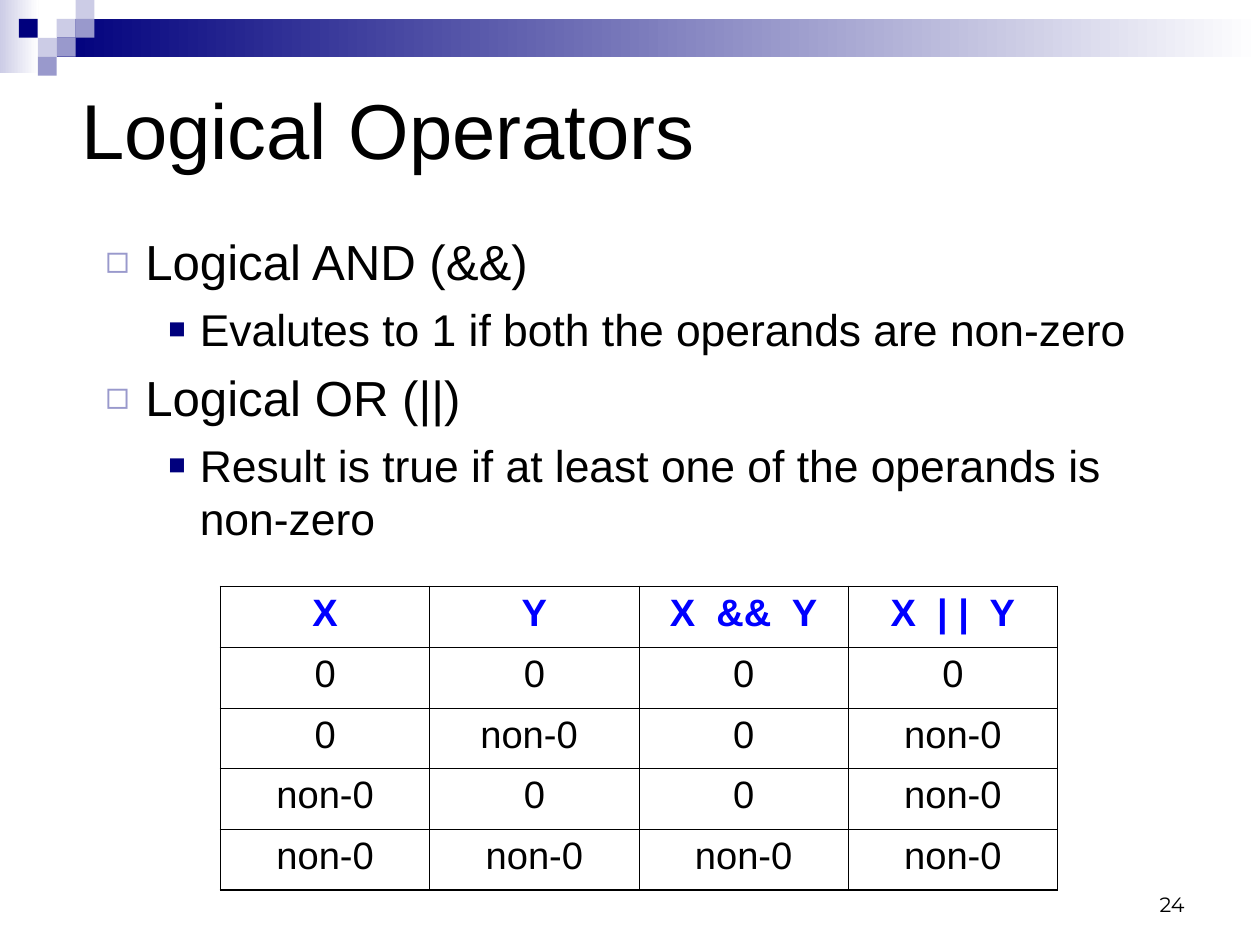
import dataclasses

import lxml.etree
import pptx
import pptx.dml.color
import pptx.enum.shapes
import pptx.enum.text
import pptx.oxml.ns
import pptx.util

Cm = pptx.util.Cm
Pt = pptx.util.Pt
RGBColor = pptx.dml.color.RGBColor
Align = pptx.enum.text.PP_ALIGN
Anchor = pptx.enum.text.MSO_ANCHOR

BLACK = RGBColor(0x00, 0x00, 0x00)
WHITE = RGBColor(0xFF, 0xFF, 0xFF)
BLUE = RGBColor(0x00, 0x00, 0xFF)
NAVY = RGBColor(0x00, 0x00, 0x7D)
LILAC = RGBColor(0x99, 0x99, 0xCC)
PALE = RGBColor(0xCC, 0xCC, 0xE6)

WIDTH, HEIGHT = 28, 21
UNIT = 0.42  # side of one square in the corner pattern


@dataclasses.dataclass
class Block:
    left: float
    top: float
    width: float
    height: float
    color: RGBColor
    fade: bool = False


@dataclasses.dataclass
class Level:
    depth: int
    size: float
    indent: float
    hang: float
    before: float
    mark: str
    color: RGBColor
    scale: int


@dataclasses.dataclass
class Item:
    level: Level
    text: str


def square(col: int, row: int, color: RGBColor) -> Block:
    return Block(col * UNIT, row * UNIT, UNIT, UNIT, color)


BLOCKS = [
    Block(0, 0, 0.86, 1.63, PALE, True),
    Block(3 * UNIT, UNIT, WIDTH - 3 * UNIT, 2 * UNIT, NAVY, True),
    square(3, 1, PALE),
    square(4, 0, PALE),
    square(4, 1, LILAC),
    square(2, 2, PALE),
    square(1, 1, NAVY),
    square(3, 2, LILAC),
    square(2, 3, LILAC),
]

TOPIC = Level(1, 31, 2.29, 0.89, 7.7, "◻", LILAC, 80)
DETAIL = Level(2, 28, 3.5, 0.7, 7, "■", NAVY, 65)
ITEMS = [
    Item(TOPIC, "Logical AND (&&)"),
    Item(DETAIL, "Evalutes to 1 if both the operands are non-zero"),
    Item(TOPIC, "Logical OR (||)"),
    Item(DETAIL, "Result is true if at least one of the operands is non-zero"),
]

TRUTH = [
    ["X", "Y", "X  &&  Y", "X  | |  Y"],
    ["0", "0", "0", "0"],
    ["0", "non-0 ", "0", "non-0"],
    ["non-0", "0", "0", "non-0"],
    ["non-0", "non-0", "non-0", "non-0"],
]


def add_node(parent, tag: str, **attrs: str):
    return lxml.etree.SubElement(parent, pptx.oxml.ns.qn(tag), attrs)


def style(para, size: float, color: RGBColor = BLACK, bold: bool = False,
          face: str = "Arial") -> None:
    para.font.name = face
    para.font.size = Pt(size)
    para.font.bold = bold
    para.font.color.rgb = color


def place(shape, left: float, top: float, width: float, height: float) -> None:
    shape.left, shape.top = Cm(left), Cm(top)
    shape.width, shape.height = Cm(width), Cm(height)


def set_frame(frame, anchor) -> None:
    frame.word_wrap = True
    frame.auto_size = pptx.enum.text.MSO_AUTO_SIZE.NONE
    frame.vertical_anchor = anchor
    frame.margin_left = frame.margin_right = Cm(0.28)
    frame.margin_top = frame.margin_bottom = Cm(0.15)


def draw_block(shapes, block: Block) -> None:
    shape = shapes.add_shape(
        pptx.enum.shapes.MSO_SHAPE.RECTANGLE, Cm(block.left), Cm(block.top),
        Cm(block.width), Cm(block.height))
    shape.shadow.inherit = False
    shape.line.fill.background()
    if block.fade:
        shape.fill.gradient()
        shape.fill.gradient_angle = 0
        for stop, color in zip(shape.fill.gradient_stops, (block.color, WHITE)):
            stop.color.rgb = color
    else:
        shape.fill.solid()
        shape.fill.fore_color.rgb = block.color


def write_item(para, item: Item) -> None:
    level = item.level
    para.text = item.text
    para.level = level.depth
    props = para._p.get_or_add_pPr()
    props.set("marL", str(Cm(level.indent)))
    props.set("indent", str(-Cm(level.hang)))
    add_node(add_node(props, "a:buClr"), "a:srgbClr", val=str(level.color))
    add_node(props, "a:buSzPct", val=str(level.scale * 1000))
    add_node(props, "a:buChar", char=level.mark)
    para.space_before = Pt(level.before)
    style(para, level.size)


def add_edge(cell, side: str, outer: bool) -> None:
    width = Pt(1.08 if outer else 0.45)
    line = add_node(cell._tc.get_or_add_tcPr(), f"a:ln{side}", w=str(width))
    add_node(add_node(line, "a:solidFill"), "a:srgbClr", val=str(BLACK))


def draw_table(shapes, rows: list[list[str]]) -> None:
    count, span = len(rows), len(rows[0])
    table = shapes.add_table(count, span, Cm(4.9), Cm(13.03),
                             Cm(4.65 * span), Cm(1.35 * count)).table
    table.first_row = table.horz_banding = False
    for row, texts in enumerate(rows):
        for col, text in enumerate(texts):
            cell = table.cell(row, col)
            cell.margin_left = cell.margin_right = Cm(0.28)
            cell.margin_top = cell.margin_bottom = Cm(0.13)
            add_edge(cell, "L", col == 0)
            add_edge(cell, "R", col == span - 1)
            add_edge(cell, "T", row == 0)
            add_edge(cell, "B", row == count - 1)
            cell.fill.background()
            para = cell.text_frame.paragraphs[0]
            para.text = text
            para.alignment = Align.CENTER
            para.space_before = Pt(6)
            head = row == 0
            style(para, 24, BLUE if head else BLACK, bold=head)


def main() -> None:
    deck = pptx.Presentation()
    deck.slide_width, deck.slide_height = Cm(WIDTH), Cm(HEIGHT)
    slide = deck.slides.add_slide(deck.slide_layouts[1])
    shapes = slide.shapes

    for block in BLOCKS:
        draw_block(shapes, block)

    title = shapes.title
    place(title, 1.52, 0.76, 25.2, 4.19)
    set_frame(title.text_frame, Anchor.MIDDLE)
    para = title.text_frame.paragraphs[0]
    para.text = "Logical Operators"
    para.alignment = Align.LEFT
    style(para, 49)

    body = slide.placeholders[1]
    place(body, 0.66, 5, 25.2, 11.89)
    frame = body.text_frame
    set_frame(frame, Anchor.TOP)
    for rank, item in enumerate(ITEMS):
        write_item(frame.add_paragraph() if rank else frame.paragraphs[0], item)

    draw_table(shapes, TRUTH)

    number = shapes.add_textbox(Cm(20.07), Cm(19.13), Cm(6.53), Cm(1.4))
    set_frame(number.text_frame, Anchor.BOTTOM)
    para = number.text_frame.paragraphs[0]
    para.text = "24"
    para.alignment = Align.RIGHT
    style(para, 13, face="Montserrat")

    deck.save("out.pptx")


if __name__ == "__main__":
    main()
